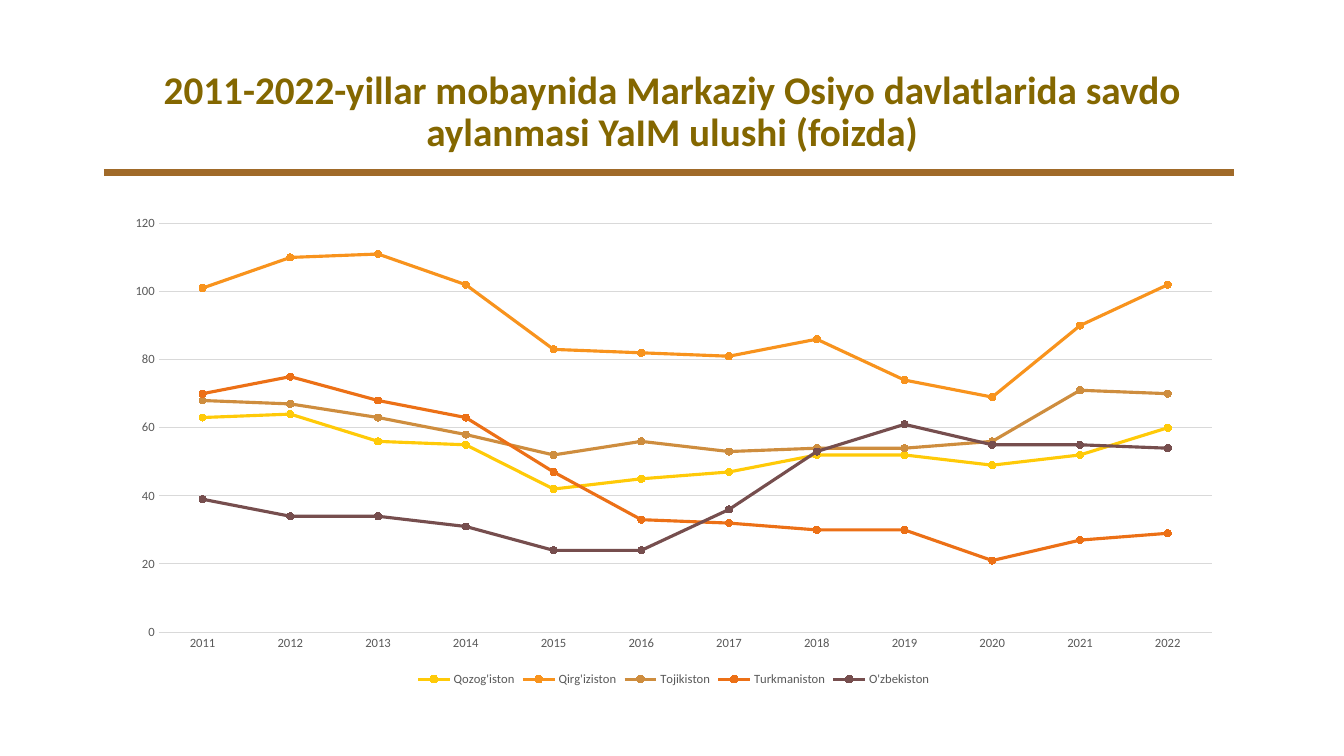
"""Build a slide with a line chart of trade turnover as a share of GDP in Central Asia."""
from dataclasses import dataclass

from lxml import etree
from pptx import Presentation
from pptx.chart.data import CategoryChartData
from pptx.dml.color import RGBColor
from pptx.enum.chart import XL_CHART_TYPE, XL_LEGEND_POSITION, XL_MARKER_STYLE, XL_TICK_MARK
from pptx.enum.shapes import MSO_CONNECTOR
from pptx.enum.text import MSO_ANCHOR, MSO_AUTO_SIZE, PP_ALIGN
from pptx.oxml.ns import qn
from pptx.util import Cm, Pt

LINE_MARKERS = XL_CHART_TYPE.LINE_MARKERS
LEGEND_BOTTOM = XL_LEGEND_POSITION.BOTTOM
CIRCLE = XL_MARKER_STYLE.CIRCLE
NO_TICK = XL_TICK_MARK.NONE
STRAIGHT = MSO_CONNECTOR.STRAIGHT
MIDDLE = MSO_ANCHOR.MIDDLE
NO_AUTOFIT = MSO_AUTO_SIZE.NONE
CENTER = PP_ALIGN.CENTER

TITLE = "2011-2022-yillar mobaynida Markaziy Osiyo davlatlarida savdo aylanmasi YaIM ulushi (foizda)"
YEARS = [str(year) for year in range(2011, 2023)]
COUNTRIES = [
    ("Qozog'iston", "FFCA08", (63, 64, 56, 55, 42, 45, 47, 52, 52, 49, 52, 60)),
    ("Qirg'iziston", "F8931D", (101, 110, 111, 102, 83, 82, 81, 86, 74, 69, 90, 102)),
    ("Tojikiston", "CE8D3E", (68, 67, 63, 58, 52, 56, 53, 54, 54, 56, 71, 70)),
    ("Turkmaniston", "EC7016", (70, 75, 68, 63, 47, 33, 32, 30, 30, 21, 27, 29)),
    ("O'zbekiston", "764E4E", (39, 34, 34, 31, 24, 24, 36, 53, 61, 55, 55, 54)),
]

SLIDE_SIZE = (Cm(33.87), Cm(19.05))
TITLE_BOX = (Cm(2.33), Cm(1.01), Cm(29.21), Cm(3.68))
RULE_ENDS = (Cm(2.62), Cm(4.35), Cm(31.09), Cm(4.35))
CHART_BOX = (Cm(2.85), Cm(5.2), Cm(28.25), Cm(12.2))


@dataclass(frozen=True)
class Theme:
    font: str = "Calibri"
    title: str = "846700"
    rule: str = "A06A29"
    label: str = "595959"
    grid: str = "D9D9D9"
    title_size: int = 28
    chart_size: int = 10
    label_size: int = 9
    rule_width: float = 5
    grid_width: float = 0.75
    series_width: float = 2.25
    marker_size: int = 5


THEME = Theme()


def style_font(font, size, color, bold=False):
    font.name = THEME.font
    font.size = Pt(size)
    font.bold = bold
    font.color.rgb = RGBColor.from_string(color)


def style_line(line, color, width):
    line.color.rgb = RGBColor.from_string(color)
    line.width = Pt(width)


def write_text(frame, text, *, size, color, bold=False, align=CENTER, spacing=0.9):
    frame.word_wrap = True
    frame.auto_size = NO_AUTOFIT
    frame.vertical_anchor = MIDDLE
    paragraph = frame.paragraphs[0]
    paragraph.alignment = align
    paragraph.line_spacing = spacing
    run = paragraph.add_run()
    run.text = text
    style_font(run.font, size, color, bold)


def add_heading(slide):
    heading = slide.shapes.title
    heading.left, heading.top, heading.width, heading.height = TITLE_BOX
    write_text(heading.text_frame, TITLE, size=THEME.title_size, color=THEME.title, bold=True)
    rule = slide.shapes.add_connector(STRAIGHT, *RULE_ENDS)
    style_line(rule.line, THEME.rule, THEME.rule_width)
    etree.SubElement(rule._element.spPr, qn("a:effectLst"))


def style_axes(chart):
    for axis in (chart.category_axis, chart.value_axis):
        axis.major_tick_mark = NO_TICK
        axis.minor_tick_mark = NO_TICK
        style_font(axis.tick_labels.font, THEME.label_size, THEME.label)
    style_line(chart.category_axis.format.line, THEME.grid, THEME.grid_width)
    shares = chart.value_axis
    shares.minimum_scale, shares.maximum_scale, shares.major_unit = 0, 120, 20
    shares.format.line.fill.background()
    style_line(shares.major_gridlines.format.line, THEME.grid, THEME.grid_width)


def add_share_chart(slide):
    data = CategoryChartData(number_format="0")
    data.categories = YEARS
    for country, _, shares in COUNTRIES:
        data.add_series(country, shares)
    chart = slide.shapes.add_chart(LINE_MARKERS, *CHART_BOX, data).chart
    chart.has_title = False
    style_font(chart.font, THEME.chart_size, "000000")
    style_axes(chart)
    chart.has_legend = True
    chart.legend.position = LEGEND_BOTTOM
    chart.legend.include_in_layout = False
    style_font(chart.legend.font, THEME.label_size, THEME.label)
    plot = chart.plots[0]
    plot.vary_by_categories = False
    for series, (_, color, _) in zip(plot.series, COUNTRIES):
        series.smooth = False
        style_line(series.format.line, color, THEME.series_width)
        marker = series.marker
        marker.style = CIRCLE
        marker.size = THEME.marker_size
        marker.format.fill.solid()
        marker.format.fill.fore_color.rgb = RGBColor.from_string(color)
        style_line(marker.format.line, color, THEME.grid_width)


def main():
    deck = Presentation()
    deck.slide_width, deck.slide_height = SLIDE_SIZE
    slide = deck.slides.add_slide(deck.slide_layouts[5])
    add_heading(slide)
    add_share_chart(slide)
    deck.save("out.pptx")


if __name__ == "__main__":
    main()
